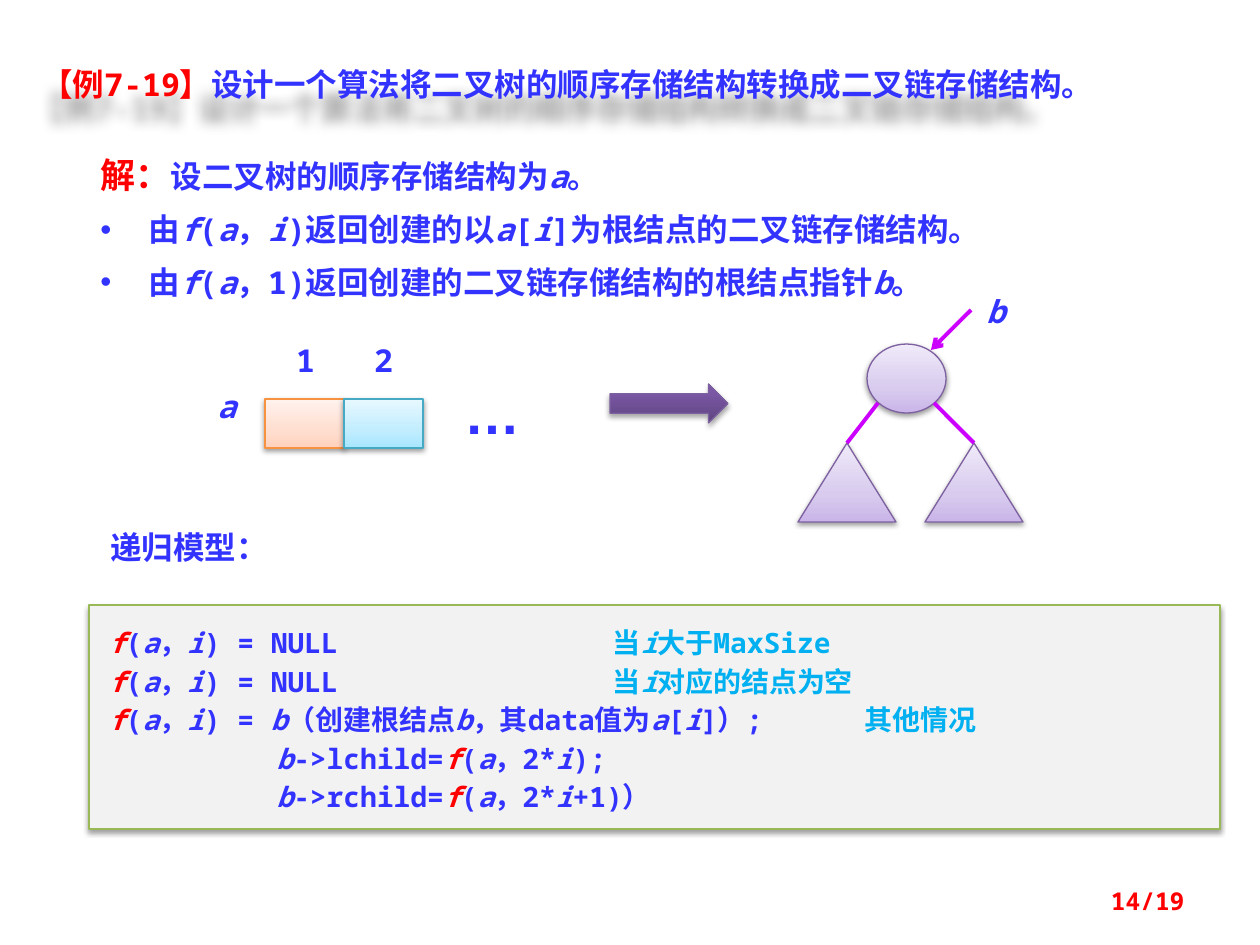
from copy import deepcopy
from lxml import etree
from pptx import Presentation
from pptx.dml.color import RGBColor
from pptx.enum.shapes import MSO_CONNECTOR, MSO_SHAPE
from pptx.enum.text import MSO_ANCHOR, MSO_AUTO_SIZE, PP_ALIGN
from pptx.oxml.ns import qn
from pptx.util import Pt

PX = 914400 / 126
RED, BLUE, CYAN, MAGENTA = "FF0000", "3333FF", "00B0F0", "CC00FF"
MONO, SANS = "Noto Sans Mono", "Noto Sans CJK SC"
LEFT, CENTER, RIGHT = PP_ALIGN.LEFT, PP_ALIGN.CENTER, PP_ALIGN.RIGHT
TOP, MIDDLE = MSO_ANCHOR.TOP, MSO_ANCHOR.MIDDLE
RECT, OVAL = MSO_SHAPE.RECTANGLE, MSO_SHAPE.OVAL
TRIANGLE, RIGHT_ARROW = MSO_SHAPE.ISOSCELES_TRIANGLE, MSO_SHAPE.RIGHT_ARROW
STRAIGHT, GROW = MSO_CONNECTOR.STRAIGHT, MSO_AUTO_SIZE.SHAPE_TO_FIT_TEXT
LILAC = [(0, "C9B5E8"), (0.35, "D8CBEE"), (1, "F0EAF9")]
PEACH = [(0, "FFD2BD"), (0.35, "FFDED0"), (1, "FFF2ED")]
SKY = [(0, "A7E6FF"), (0.35, "C1EDFF"), (1, "E7F8FF")]
PURPLE = [(0, "5F4480"), (0.8, "7B58A6"), (1, "7C57A8")]

deck = Presentation()
deck.slide_width, deck.slide_height = round(1260 * PX), round(945 * PX)
slide = deck.slides.add_slide(deck.slide_layouts[6])


def write(shape, paragraphs, size=18, face=MONO, align=LEFT, anchor=TOP, spacing=None, bullets_from=99):
    frame = shape.text_frame
    for attr, value in {"word_wrap": True, "auto_size": GROW, "vertical_anchor": anchor}.items():
        setattr(frame, attr, value)
    for index, segments in enumerate(paragraphs):
        paragraph = frame.add_paragraph() if index else frame.paragraphs[0]
        paragraph.alignment = align
        if spacing:
            paragraph.line_spacing = Pt(spacing)
        if index >= bullets_from:
            props = paragraph._p.get_or_add_pPr()
            props.set("marL", str(round(48 * PX)))
            props.set("indent", str(round(-48 * PX)))
            etree.SubElement(props, qn("a:buFont"), typeface="Arial")
            etree.SubElement(props, qn("a:buChar"), char="•")
        for text, color, *own_size in segments:
            for part, piece in enumerate(text.split("_")):
                if not piece:
                    continue
                run = paragraph.add_run()
                run.text = piece
                looks = {"name": face, "size": Pt(own_size[0] if own_size else size),
                         "bold": True, "italic": part % 2 == 1}
                for attr, value in looks.items():
                    setattr(run.font, attr, value)
                run.font.color.rgb = RGBColor.from_string(color)
                etree.SubElement(run._r.get_or_add_rPr(), qn("a:ea"), typeface=SANS)


def draw(kind, box, fill, outline, alpha=38, distance=1.6):
    shape = slide.shapes.add_shape(kind, *[round(v * PX) for v in box])
    if isinstance(fill, str):
        shape.fill.solid()
        shape.fill.fore_color.rgb = RGBColor.from_string(fill)
    else:
        shape.fill.gradient()
        shape.fill.gradient_angle = 90
        stop_list = shape._element.spPr.find(".//" + qn("a:gsLst"))
        stop_list.insert(1, deepcopy(stop_list[0]))
        for stop, (position, color) in zip(shape.fill.gradient_stops, fill):
            stop.position = position
            stop.color.rgb = RGBColor.from_string(color)
    shape.line.color.rgb = RGBColor.from_string(outline)
    shape.line.width = Pt(0.75)
    shape.shadow.inherit = False
    shadow = etree.SubElement(shape._element.spPr.find(qn("a:effectLst")), qn("a:outerShdw"),
                              blurRad=str(Pt(3.1)), dist=str(Pt(distance)), dir="5400000", rotWithShape="0")
    tint = etree.SubElement(shadow, qn("a:srgbClr"), val="000000")
    etree.SubElement(tint, qn("a:alpha"), val=str(alpha * 1000))
    return shape


solution = [
    [("解：", RED, 20), ("设二叉树的顺序存储结构为_a_。", BLUE)],
    [("由_f_(_a_，_i_)返回创建的以_a_[_i_]为根结点的二叉链存储结构。", BLUE)],
    [("由_f_(_a_，1)返回创建的二叉链存储结构的根结点指针_b_。", BLUE)],
]
f = ("_f_", RED)
null_case = ("(_a_，_i_) = NULL\t\t\t\t\t", BLUE)
model = [
    [f, null_case, ("当_i_大于MaxSize", CYAN)],
    [f, null_case, ("当_i_对应的结点为空", CYAN)],
    [f, ("(_a_，_i_) = _b_（创建根结点_b_，其data值为_a_[_i_]）;\t\t", BLUE), ("其他情况", CYAN)],
    [("          _b_->lchild=", BLUE), f, ("(_a_，2*_i_);", BLUE)],
    [("          _b_->rchild=", BLUE), f, ("(_a_，2*_i_+1)）", BLUE)],
]

model_panel = draw(RECT, (89, 605, 1131, 224), "F2F2F2", "98B955")
for side, inset in {"left": 20, "right": 20, "top": 15, "bottom": 15}.items():
    setattr(model_panel.text_frame, "margin_" + side, round(inset * PX))
write(model_panel, model, size=16, spacing=22, anchor=MIDDLE)

draw(OVAL, (867, 344, 79, 69), LILAC, "7D60A0")
for subtree_left in (798, 925):
    draw(TRIANGLE, (subtree_left, 443, 98, 79), LILAC, "7D60A0")
draw(RECT, (265, 399, 79, 49), PEACH, "F69240")
draw(RECT, (344, 399, 79, 49), SKY, "46AAC5")
draw(RIGHT_ARROW, (610, 384, 118, 39), PURPLE, "7D60A0", alpha=35, distance=1.8)

for ends, pointed in [((971, 310, 931, 350), True),
                      ((878, 403, 847, 443), False),
                      ((934, 403, 974, 443), False)]:
    link = slide.shapes.add_connector(STRAIGHT, *[round(v * PX) for v in ends])
    link.line.color.rgb = RGBColor.from_string(MAGENTA)
    link.line.width = Pt(2.25)
    if pointed:
        etree.SubElement(link.line._get_or_add_ln(), qn("a:tailEnd"), type="arrow")
    etree.SubElement(link._element.spPr, qn("a:effectLst"))

texts = [
    ((29, 59, 1186, 50), [[("【例7-19】", RED), ("设计一个算法将二叉树的顺序存储结构转换成二叉链存储结构。", BLUE)]], {}),
    ((88, 137, 1004, 171), solution, {"spacing": 30, "bullets_from": 1}),
    ((974, 286, 49, 50), [[("_b_", BLUE)]], {}),
    ((433, 372, 118, 81), [[("…", BLUE)]], {"size": 32, "face": "Arial", "align": CENTER}),
    ((276, 335, 59, 50), [[("1", BLUE)]], {"align": CENTER}),
    ((354, 335, 59, 50), [[("2", BLUE)]], {"align": CENTER}),
    ((197, 381, 59, 50), [[("_a_", BLUE)]], {"align": CENTER}),
    ((98, 522, 266, 50), [[("递归模型：", BLUE)]], {"face": SANS}),
    ((903, 876, 294, 50), [[("14/19", RED)]], {"size": 14, "align": RIGHT, "anchor": MIDDLE}),
]
labels = []
for box, paragraphs, layout in texts:
    label = slide.shapes.add_textbox(*[round(v * PX) for v in box])
    write(label, paragraphs, **layout)
    labels.append(label)

title_effects = etree.SubElement(labels[0]._element.spPr, qn("a:effectLst"))
title_shadow = etree.SubElement(title_effects, qn("a:outerShdw"), blurRad=str(Pt(7)), dist=str(Pt(14)),
                                dir="6600000", sx="97000", sy="100000", algn="tl", rotWithShape="0")
title_tint = etree.SubElement(title_shadow, qn("a:srgbClr"), val="000000")
etree.SubElement(title_tint, qn("a:alpha"), val="40000")

deck.save("out.pptx")
